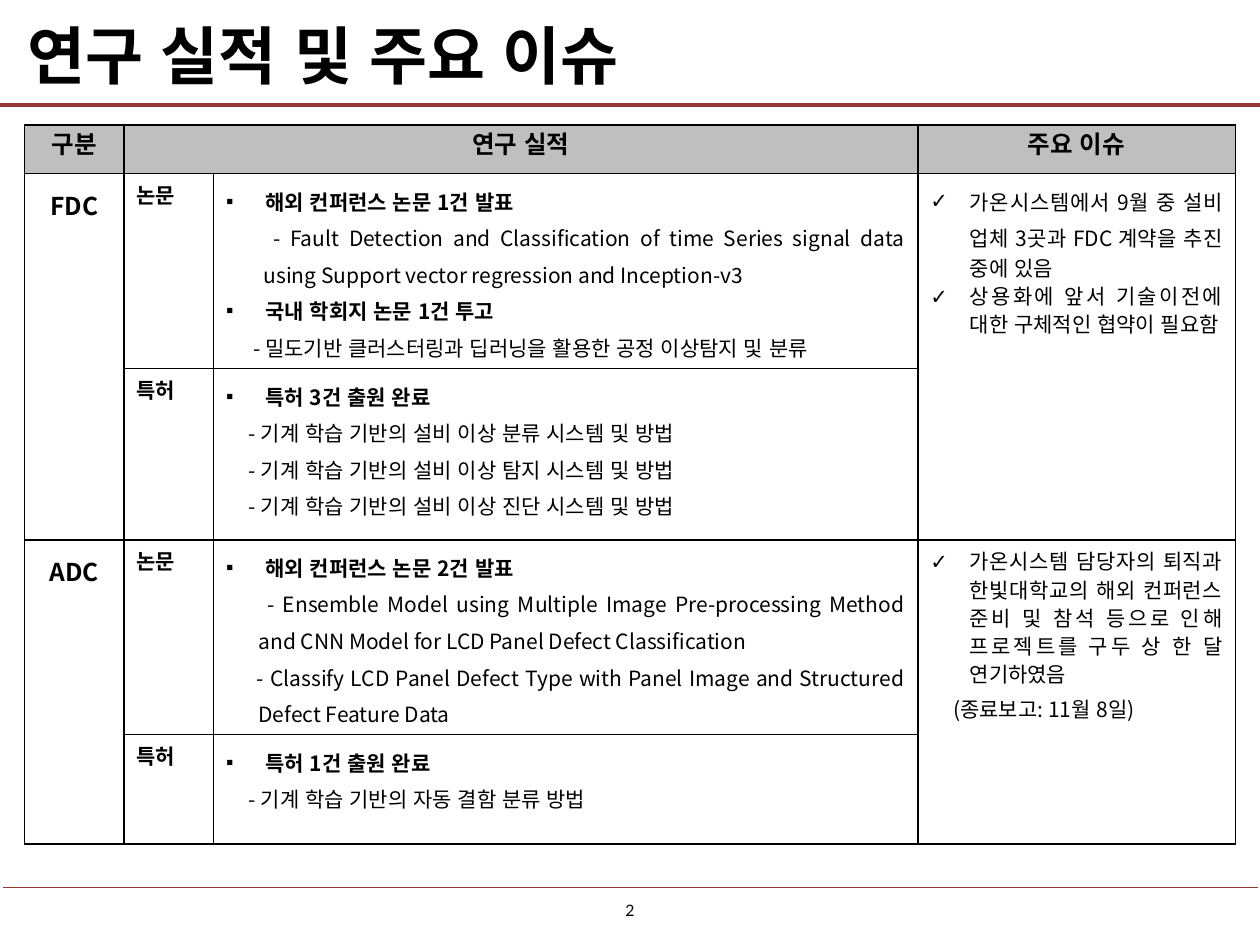
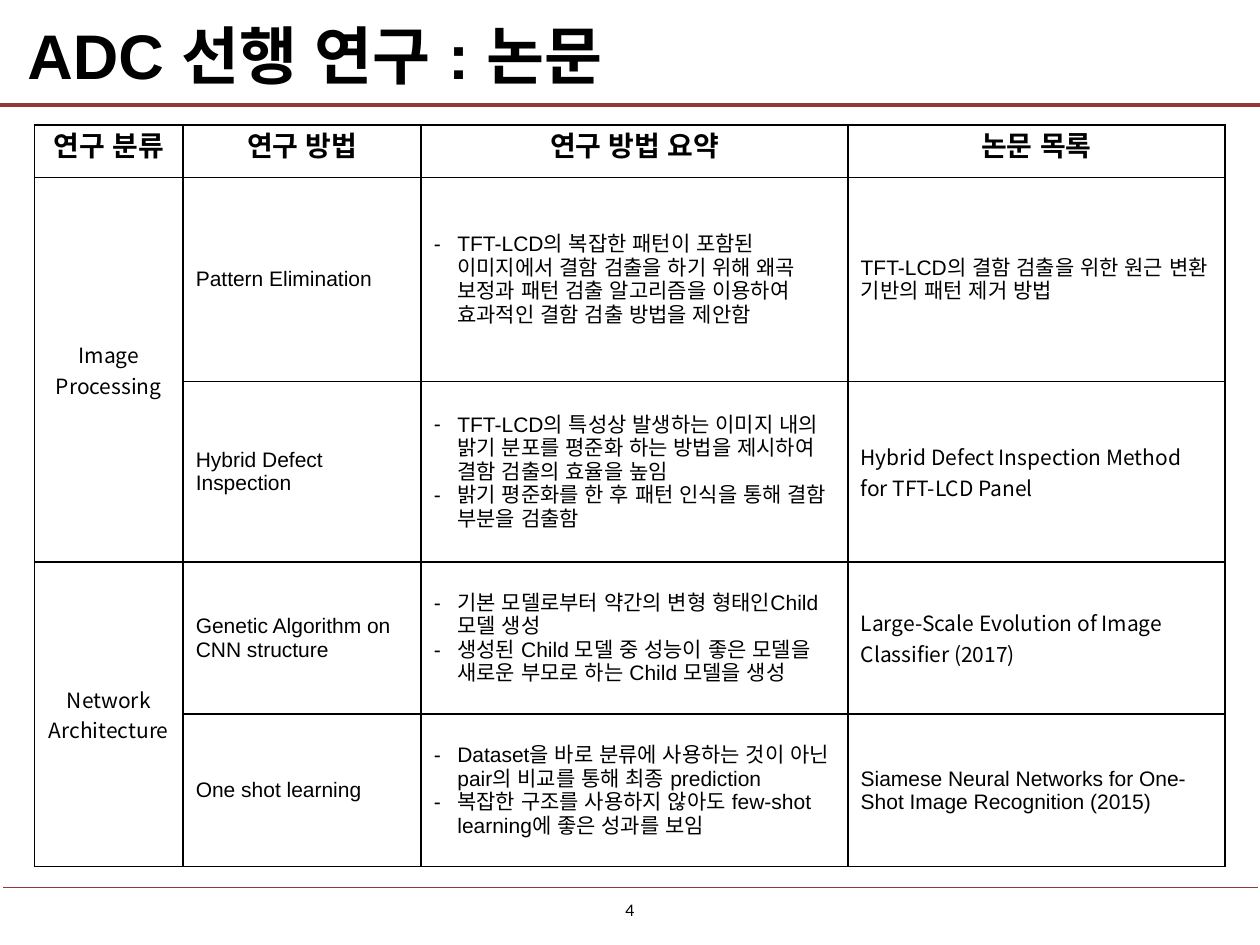
import pptx
import pptx.util
import pptx.dml.color
import pptx.enum.shapes
import pptx.enum.text
import pptx.oxml.ns
import lxml.etree

Pt = pptx.util.Pt
RGB = pptx.dml.color.RGBColor
ALIGN = pptx.enum.text.PP_ALIGN
MID = pptx.enum.text.MSO_ANCHOR.MIDDLE
TOP = pptx.enum.text.MSO_ANCHOR.TOP
qn = pptx.oxml.ns.qn

BLACK = RGB(0, 0, 0)
RED = RGB(0x95, 0x37, 0x35)
GRAY = RGB(0xBF, 0xBF, 0xBF)
NOTO = "Noto Sans CJK KR"
EAST = "Arial"
L, C, J = ALIGN.LEFT, ALIGN.CENTER, ALIGN.JUSTIFY

# style: font, size, bold, align, line spacing, left margin, first indent, bullet
STYLES = {
    "title": ("Arial", 36, True, L, 1, 0, 0, None),
    "page": ("Lato", 9, False, C, 1, 0, 0, None),
    "head": (NOTO, 14, True, C, 1, 0, 0, None),
    "group": (NOTO, 14, True, C, 1.2, 0, 0, None),
    "kind": (NOTO, 12, True, J, 1.2, 0, 0, None),
    "item": (NOTO, 12, True, J, 1.2, 22.5, -22.5, "▪"),
    "check": (NOTO, 12, False, J, 1.2, 22.5, -22.5, "✓"),
    "sub": (NOTO, 12, False, J, 1.2, 13, 0, None),
    "deep": (NOTO, 12, False, J, 1.2, 15.5, 0, None),
    "fault": (NOTO, 12, False, J, 1.2, 21.5, 5.5, None),
    "model": (NOTO, 12, False, J, 1.2, 18.5, 5, None),
    "panel": (NOTO, 12, False, J, 1.2, 18.5, -1, None),
    "topic": (NOTO, 16, True, C, 1, 0, 0, None),
    "class": (NOTO, 12, False, C, 1, 0, 0, None),
    "plain": ("Arial", 12, False, L, 1, 0, 0, None),
    "paper": (NOTO, 12, False, L, 1, 0, 0, None),
    "dash": ("Arial", 12, False, L, 1, 13.5, -13.5, "-"),
}

# Each cell is a list of (style, text); None is covered by a merged cell.
RESULTS = [
    [[("head", "구분")], [("head", "연구 실적")], None, [("head", "주요 이슈")]],
    [[("group", "FDC")], [("kind", "논문")],
     [("item", "해외 컨퍼런스 논문 1건 발표"),
      ("fault", "- Fault Detection and Classification of time Series signal data\v"
                "using Support vector regression and Inception-v3"),
      ("item", "국내 학회지 논문 1건 투고"),
      ("deep", "- 밀도기반 클러스터링과 딥러닝을 활용한 공정 이상탐지 및 분류")],
     [("check", "가온시스템에서 9월 중 설비 업체 3곳과 FDC 계약을 추진 중에 있음"),
      ("check", "상용화에 앞서 기술이전에 대한 구체적인 협약이 필요함")]],
    [None, [("kind", "특허")],
     [("item", "특허 3건 출원 완료"),
      ("sub", "- 기계 학습 기반의 설비 이상 분류 시스템 및 방법"),
      ("sub", "- 기계 학습 기반의 설비 이상 탐지 시스템 및 방법"),
      ("sub", "- 기계 학습 기반의 설비 이상 진단 시스템 및 방법")], None],
    [[("group", "ADC")], [("kind", "논문")],
     [("item", "해외 컨퍼런스 논문 2건 발표"),
      ("model", "- Ensemble Model using Multiple Image Pre-processing Method\v"
                "and CNN Model for LCD Panel Defect Classification"),
      ("panel", "- Classify LCD Panel Defect Type with Panel Image and Structured\v"
                "Defect Feature Data")],
     [("check", "가온시스템 담당자의 퇴직과 한빛대학교의 해외 컨퍼런스 준비 및 참석 "
                "등으로 인해 프로젝트를 구두 상 한 달 연기하였음"),
      ("sub", "(종료보고: 11월 8일)")]],
    [None, [("kind", "특허")],
     [("item", "특허 1건 출원 완료"),
      ("sub", "- 기계 학습 기반의 자동 결함 분류 방법")], None],
]

PAPERS = [
    [[("topic", "연구 분류")], [("topic", "연구 방법")],
     [("topic", "연구 방법 요약")], [("topic", "논문 목록")]],
    [[("class", "Image"), ("class", "Processing")],
     [("plain", "Pattern Elimination")],
     [("dash", "TFT-LCD의 복잡한 패턴이 포함된 이미지에서 결함 검출을 하기 위해 왜곡 보정과 "
               "패턴 검출 알고리즘을 이용하여 효과적인 결함 검출 방법을 제안함")],
     [("plain", "TFT-LCD의 결함 검출을 위한 원근 변환 기반의 패턴 제거 방법")]],
    [None, [("plain", "Hybrid Defect Inspection")],
     [("dash", "TFT-LCD의 특성상 발생하는 이미지 내의 밝기 분포를 평준화 하는 방법을 "
               "제시하여 결함 검출의 효율을 높임"),
      ("dash", "밝기 평준화를 한 후 패턴 인식을 통해 결함 부분을 검출함")],
     [("paper", "Hybrid Defect Inspection Method for TFT-LCD Panel")]],
    [[("class", "Network"), ("class", "Architecture")],
     [("plain", "Genetic Algorithm on CNN structure")],
     [("dash", "기본 모델로부터 약간의 변형 형태인Child 모델 생성"),
      ("dash", "생성된 Child 모델 중 성능이 좋은 모델을 새로운 부모로 하는 Child 모델을 생성")],
     [("paper", "Large-Scale Evolution of Image Classifier (2017)")]],
    [None, [("plain", "One shot learning")],
     [("dash", "Dataset을 바로 분류에 사용하는 것이 아닌 pair의 비교를 통해 최종 prediction"),
      ("dash", "복잡한 구조를 사용하지 않아도 few-shot learning에 좋은 성과를 보임")],
     [("plain", "Siamese Neural Networks for One-Shot Image Recognition (2015)")]],
]

# title, page, table left, columns, rows, header fill, body anchor, merges, cells
SLIDES = [
    ("연구 실적 및 주요 이슈", "2", 14, (56.9, 51.1, 402.5, 181.4),
     (27.8, 111.5, 97.9, 111.4, 62.6), GRAY, TOP,
     [(0, 1, 0, 2), (1, 0, 2, 0), (1, 3, 2, 3), (3, 0, 4, 0), (3, 3, 4, 3)], RESULTS),
    ("ADC 선행 연구 : 논문", "4", 19.7, (85, 136, 244, 215.3),
     (30.2, 116.6, 103, 87.1, 87.1), None, MID,
     [(1, 0, 2, 0), (3, 0, 4, 0)], PAPERS),
]

# Shared rules: left, right, height, colour, weight
RULES = [(2, 719, 506.9, BLACK, 0.5), (-0.7, 720, 60.1, RED, 2.25),
         (2, 719, 506.9, RED, 0.5)]


def write(frame, paras):
    """Fill a text frame with (style, text) paragraphs."""
    frame.word_wrap = True
    frame.text = "\n".join(text for name, text in paras)
    for par, (name, text) in zip(frame.paragraphs, paras):
        face, size, bold, align, space, left, first, mark = STYLES[name]
        par.alignment = align
        par.line_spacing = space
        props = par._p.get_or_add_pPr()
        props.set("marL", str(Pt(left)))
        props.set("indent", str(Pt(first)))
        if mark:
            lxml.etree.SubElement(props, qn("a:buFont")).set("typeface", "Arial")
            lxml.etree.SubElement(props, qn("a:buChar")).set("char", mark)
        for run in par.runs:
            run.font.name = face
            run.font.size = Pt(size)
            run.font.bold = bold
            run.font.color.rgb = BLACK
            east = lxml.etree.Element(qn("a:ea"), typeface=EAST)
            run._r.rPr.find(qn("a:latin")).addnext(east)


def frame_cell(cell):
    """Draw a thin black border on all four sides."""
    props = cell._tc.get_or_add_tcPr()
    for side in ("a:lnL", "a:lnR", "a:lnT", "a:lnB"):
        line = lxml.etree.SubElement(props, qn(side), w=str(Pt(1)))
        fill = lxml.etree.SubElement(line, qn("a:solidFill"))
        lxml.etree.SubElement(fill, qn("a:srgbClr"), val=str(BLACK))


deck = pptx.Presentation()
deck.slide_width, deck.slide_height = Pt(720), Pt(540)

for title, page, left, cols, rows, shade, anchor, merges, cells in SLIDES:
    slide = deck.slides.add_slide(deck.slide_layouts[6])

    for x1, x2, y, color, weight in RULES:
        rule = slide.shapes.add_connector(
            pptx.enum.shapes.MSO_CONNECTOR.STRAIGHT, Pt(x1), Pt(y), Pt(x2), Pt(y))
        rule.line.color.rgb = color
        rule.line.width = Pt(weight)
        lxml.etree.SubElement(rule._element.spPr, qn("a:effectLst"))

    foot = slide.shapes.add_textbox(Pt(334.8), Pt(511.2), Pt(50.4), Pt(18))
    write(foot.text_frame, [("page", page)])
    head = slide.shapes.add_textbox(Pt(8.6), Pt(7.2), Pt(702.7), Pt(47.5))
    write(head.text_frame, [("title", title)])
    head.text_frame.vertical_anchor = MID

    grid = slide.shapes.add_table(len(rows), len(cols), Pt(left), Pt(71.3),
                                  Pt(sum(cols)), Pt(sum(rows))).table
    grid.first_row = grid.horz_banding = False
    for col, width in zip(grid.columns, cols):
        col.width = Pt(width)
    for row, height in zip(grid.rows, rows):
        row.height = Pt(height)
    for r1, c1, r2, c2 in merges:
        grid.cell(r1, c1).merge(grid.cell(r2, c2))
    for r, line in enumerate(cells):
        for c, paras in enumerate(line):
            cell = grid.cell(r, c)
            frame_cell(cell)
            if r == 0 and shade:
                cell.fill.solid()
                cell.fill.fore_color.rgb = shade
            else:
                cell.fill.background()
            if paras:
                write(cell.text_frame, paras)
                cell.vertical_anchor = anchor if r else TOP

deck.save("out.pptx")
